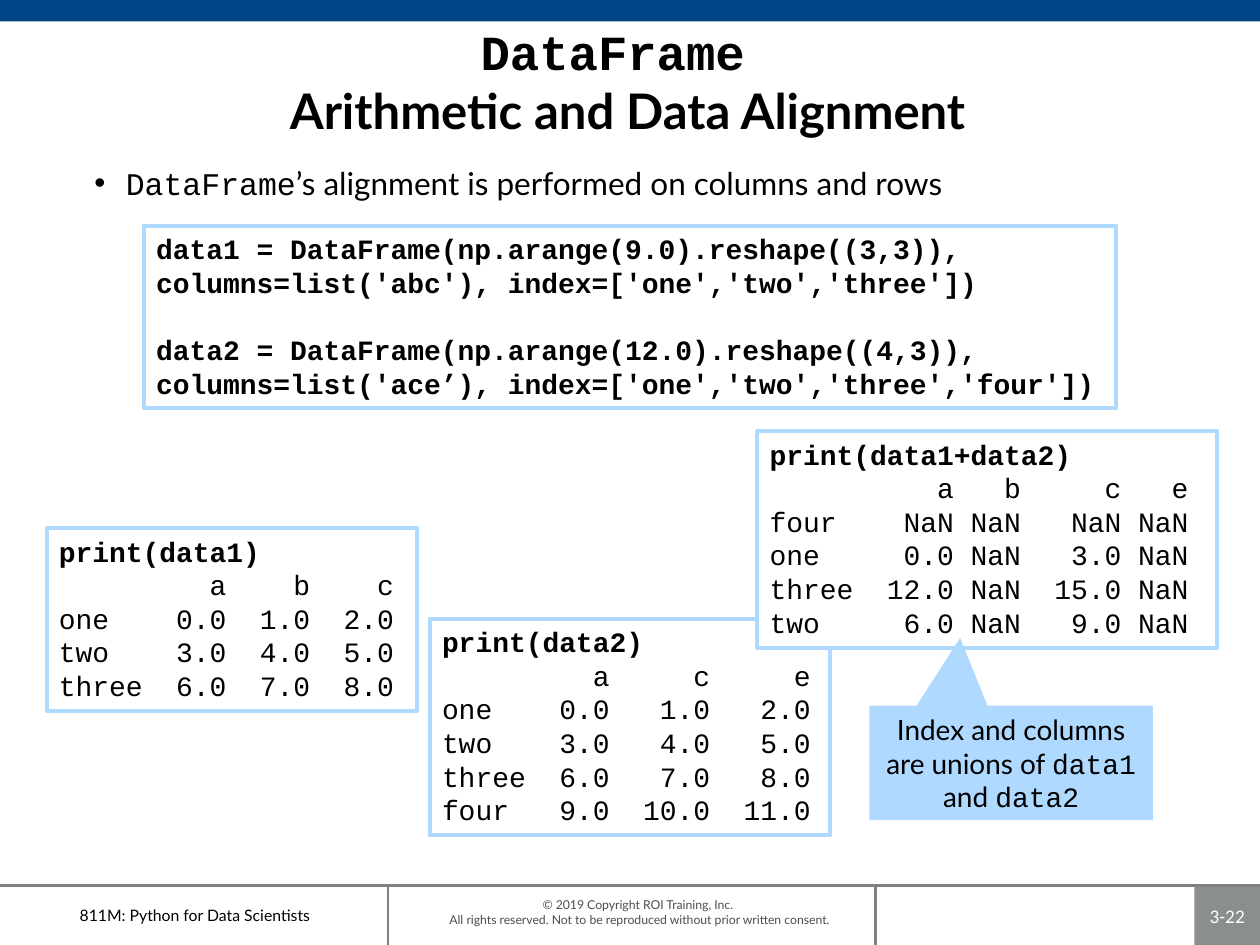
from lxml.etree import SubElement
from pptx import Presentation
from pptx.dml.color import RGBColor
from pptx.enum.shapes import MSO_CONNECTOR as Conn, MSO_SHAPE as Shape
from pptx.enum.text import MSO_ANCHOR as Anchor, PP_ALIGN as Align
from pptx.oxml.ns import qn
from pptx.util import Inches, Pt

SANS, MONO = "Lato", "Courier New"
NAVY, SKY, GRAY, LINE = "004686", "AFD9FF", "898F8F", "808080"
BLACK, WHITE, DARK = "000000", "FFFFFF", "4D4D4D"


def color(hex_text):
    """Turn a hex string into a colour."""
    return RGBColor.from_string(hex_text)


def write(p, text, size=16, font=SANS, ink=BLACK, bold=False):
    """Add formatted text to a paragraph, with line breaks at newlines."""
    for i, part in enumerate(text.split("\n")):
        if i:
            p.add_line_break()
        r = p.add_run()
        r.text = part
        r.font.size, r.font.name, r.font.bold = Pt(size), font, bold
        r.font.color.rgb = color(ink)


class Deck:
    """Slide style on a grid of 100 columns by 75 rows."""

    def __init__(self, cols=100, rows=75):
        """Start a presentation with one title-only slide."""
        self.prs = Presentation()
        self.prs.slide_width, self.prs.slide_height = Inches(10), Inches(7.5)
        self.col = self.prs.slide_width / cols
        self.row = self.prs.slide_height / rows
        self.s = self.prs.slides.add_slide(self.prs.slide_layouts[5])

    def place(self, x, y, w, h):
        """Convert grid units to slide lengths."""
        return [int(v * unit) for v, unit in
                zip((x, y, w, h), (self.col, self.row) * 2)]

    def frame(self, sp, anchor=Anchor.TOP, align=Align.LEFT, inset=(0.1, 0.05)):
        """Set up the text frame and return its first paragraph."""
        tf = sp.text_frame
        tf.word_wrap, tf.vertical_anchor = True, anchor
        tf.margin_left = tf.margin_right = Inches(inset[0])
        tf.margin_top = tf.margin_bottom = Inches(inset[1])
        tf.paragraphs[0].alignment = align
        return tf.paragraphs[0]

    def title(self, *at):
        """Move the title placeholder and return its paragraph."""
        sp = self.s.shapes.title
        sp.left, sp.top, sp.width, sp.height = self.place(*at)
        return self.frame(sp, Anchor.MIDDLE, Align.CENTER)

    def text(self, *at, **layout):
        """Add a text box and return its paragraph."""
        return self.frame(self.s.shapes.add_textbox(*self.place(*at)), **layout)

    def shape(self, *at, kind=Shape.RECTANGLE, fill=None, line=None):
        """Add a preset shape."""
        sp = self.s.shapes.add_shape(kind, *self.place(*at))
        sp.shadow.inherit = False
        if fill:
            sp.fill.solid()
            sp.fill.fore_color.rgb = color(fill)
        else:
            sp.fill.background()
        if line:
            sp.line.color.rgb, sp.line.width = color(line), Pt(2.25)
        else:
            sp.line.fill.background()
        return sp

    def rule(self, *ends):
        """Add a straight gray line."""
        cx = self.s.shapes.add_connector(Conn.STRAIGHT, *self.place(*ends))
        cx.line.color.rgb, cx.line.width = color(LINE), Pt(1.5)
        SubElement(cx._element.spPr, qn("a:effectLst"))

    def code(self, at, paragraphs, bold_count=1, gap=0, fill=None):
        """Add a framed code box whose leading paragraphs are bold."""
        sp = self.shape(*at, fill=fill, line=SKY)
        p = self.frame(sp)
        for i, text in enumerate(paragraphs):
            if i:
                p = sp.text_frame.add_paragraph()
                p.alignment, p.space_before = Align.LEFT, Pt(gap)
            p.line_spacing = Pt(19.2)
            write(p, text, font=MONO, bold=i < bold_count)

    def bullet(self, p):
        """Give a paragraph a hanging round bullet."""
        pPr = p._p.get_or_add_pPr()
        pPr.set("marL", str(Inches(0.25)))
        pPr.set("indent", str(-Inches(0.25)))
        SubElement(pPr, qn("a:buFont"), typeface="Arial")
        SubElement(pPr, qn("a:buChar"), char="•")


def main():
    """Build and save the slide."""
    deck = Deck()
    foot, bottom = 70.3, 75
    number = deck.shape(94.8, foot, 5.2, bottom - foot, fill=GRAY)
    p = deck.frame(number, Anchor.MIDDLE, Align.CENTER, (0.04, 0.04))
    write(p, "3-22", size=11, font="Calibri", ink=WHITE)
    for ends in ((69.5, foot, 69.5, bottom), (0, foot, 100, foot),
                 (30.8, foot, 30.8, bottom)):
        deck.rule(*ends)
    p = deck.text(24.5, 71.2, 52.5, 2.4, align=Align.CENTER, inset=(0.1, 0))
    write(p, "© 2019 Copyright ROI Training, Inc. \nAll rights reserved. "
          "Not to be reproduced without prior written consent.", size=7, ink=DARK)
    p = deck.text(0, foot, 30.9, bottom - foot, anchor=Anchor.MIDDLE,
                  align=Align.CENTER)
    write(p, "811M: Python for Data Scientists", size=9)
    deck.shape(0, 0, 100, 1.7, fill=NAVY)

    p = deck.title(11.5, 2.9, 76.6, 6.9)
    write(p, "DataFrame \n", size=28, font=MONO, bold=True)
    write(p, "Arithmetic and Data Alignment", size=28, bold=True)
    p = deck.text(6.5, 12.5, 87.7, 4.5)
    deck.bullet(p)
    write(p, "DataFrame", size=18, font=MONO)
    write(p, "’s alignment is performed on columns and rows", size=18)

    deck.code((11.4, 17.9, 77.2, 14.5), [
        "data1 = DataFrame(np.arange(9.0).reshape((3,3)),\n"
        "columns=list('abc'), index=['one','two','three'])",
        "data2 = DataFrame(np.arange(12.0).reshape((4,3)),\n"
        "columns=list('ace’), index=['one','two','three','four'])",
    ], bold_count=2, gap=19.2)
    deck.code((3.7, 41.9, 29.4, 14.5), [
        "print(data1)",
        "         a    b    c",
        "one    0.0  1.0  2.0",
        "two    3.0  4.0  5.0",
        "three  6.0  7.0  8.0",
    ])
    deck.code((34.1, 49.1, 31.8, 17.2), [
        "print(data2)",
        "         a     c     e",
        "one    0.0   1.0   2.0",
        "two    3.0   4.0   5.0",
        "three  6.0   7.0   8.0",
        "four   9.0  10.0  11.0",
    ])
    deck.code((60.1, 34.2, 36.5, 17.2), [
        "print(data1+data2)",
        "          a   b     c   e",
        "four    NaN NaN   NaN NaN",
        "one     0.0 NaN   3.0 NaN",
        "three  12.0 NaN  15.0 NaN",
        "two     6.0 NaN   9.0 NaN",
    ], fill=WHITE)

    callout = deck.shape(69, 56, 22.5, 9.1, kind=Shape.RECTANGULAR_CALLOUT, fill=SKY)
    callout.adjustments[0], callout.adjustments[1] = -0.18, -1.09
    p = deck.frame(callout, Anchor.MIDDLE, Align.CENTER)
    for text, font in (("Index and columns are unions of ", SANS), ("data1", MONO),
                       (" and ", SANS), ("data2", MONO)):
        write(p, text, font=font)
    deck.prs.save("out.pptx")


if __name__ == "__main__":
    main()
